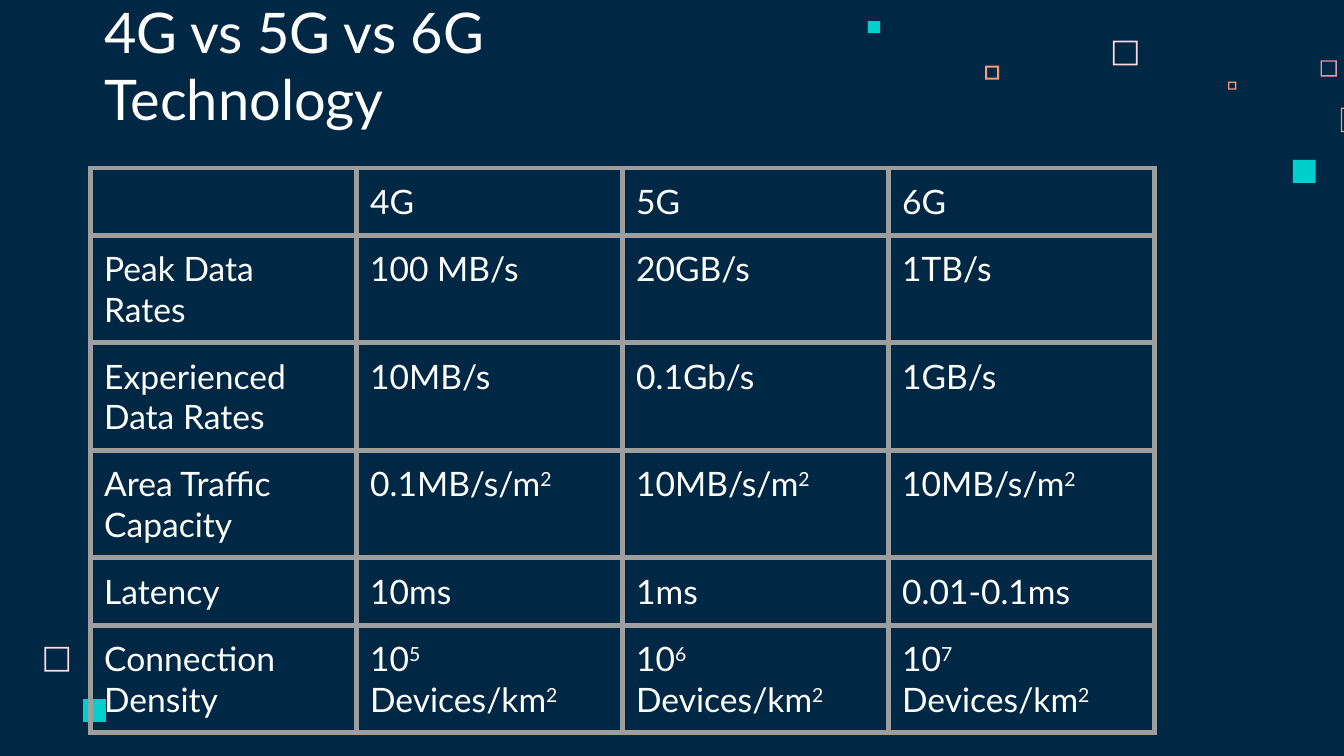
from dataclasses import dataclass
from typing import Any

from lxml import etree
from pptx import Presentation
from pptx import util as u
from pptx.dml.color import RGBColor
from pptx.enum import shapes, text
from pptx.oxml import ns

Pt = u.Pt
FONT = "Lato"
WHITE, NAVY, GREY = "FFFFFF", "002845", "9E9E9E"
PINK, ROSE, CORAL, TEAL = "FFD6E1", "E898AC", "FF9973", "00CFCC"
PAD = 7.2


@dataclass(frozen=True)
class Square:
    left: float
    top: float
    side: float
    tint: str
    rim: float = 0  # zero means solid


SQUARES = [
    Square(596.2, 21.8, 13.2, PINK, 0.9),
    Square(707.4, 32.3, 8.7, ROSE, 0.7),
    Square(658, 43.7, 4.3, CORAL, 0.7),
    Square(718.3, 57.7, 13.1, CORAL, 0.7),
    Square(692.6, 85.7, 12.3, TEAL),
    Square(527.8, 35.2, 7.4, CORAL, 1),
    Square(465, 11.3, 6.5, TEAL),
    Square(23.8, 346.6, 13.2, PINK, 0.9),
    Square(44.5, 374.5, 12.3, TEAL),
]

# Carets enclose superscripts.
ROWS = [
    ["", "4G", "5G", "6G"],
    ["Peak Data Rates", "100 MB/s", "20GB/s", "1TB/s"],
    ["Experienced Data Rates", "10MB/s", "0.1Gb/s", "1GB/s"],
    ["Area Traffic Capacity", "0.1MB/s/m^2^", "10MB/s/m^2^", "10MB/s/m^2^"],
    ["Latency", "10ms", "1ms", "0.01-0.1ms"],
    ["Connection Density"] + [f"10^{n}^ Devices/km^2^" for n in (5, 6, 7)],
]


def paint(fill: Any, tint: str) -> None:
    fill.solid()
    fill.fore_color.rgb = RGBColor.from_string(tint)


def apply(item: Any, form: dict[str, Any]) -> None:
    for key, value in form.items():
        setattr(item, key, value)


def style(font: Any, size: float) -> None:
    apply(font, {"name": FONT, "size": Pt(size)})
    paint(font.fill, WHITE)


def write(para: Any, words: str, size: float) -> None:
    """Add runs, raising the parts held between carets."""
    style(para.font, size)
    for i, part in enumerate(words.split("^")):
        if part:
            run = para.add_run()
            run.text = part
            style(run.font, size)
            if i % 2:
                run._r.get_or_add_rPr().set("baseline", "30000")


def pads() -> dict[str, Any]:
    return {f"margin_{side}": Pt(PAD) for side in ("left", "top", "right", "bottom")}


def draw_square(slide: Any, sq: Square) -> None:
    x, y, end = Pt(sq.left), Pt(sq.top), Pt(sq.side)
    if sq.rim:
        a, b = Pt(sq.rim), Pt(sq.side - sq.rim)
        pen = slide.shapes.build_freeform(x, y)
        pen.add_line_segments([(x, y + end), (x + end, y + end), (x + end, y)])
        pen.move_to(x + b, y + a)
        pen.add_line_segments([(x + b, y + b), (x + a, y + b), (x + a, y + a)])
        shape = pen.convert_to_shape()
    else:
        shape = slide.shapes.add_shape(shapes.MSO_SHAPE.RECTANGLE, x, y, end, end)
    shape.shadow.inherit = False
    paint(shape.fill, sq.tint)
    shape.line.fill.background()


def edge(cell: Any, width: float, tint: str) -> None:
    """Give a cell a line on all four sides."""
    props = cell._tc.get_or_add_tcPr()
    for side in "LRTB":
        line = etree.SubElement(props, ns.qn(f"a:ln{side}"), w=str(Pt(width)))
        fill = etree.SubElement(line, ns.qn("a:solidFill"))
        etree.SubElement(fill, ns.qn("a:srgbClr"), val=tint)


def draw_table(slide: Any) -> None:
    wide, high = 142.5, 30.24
    grid = slide.shapes.add_table(
        len(ROWS), len(ROWS[0]), Pt(48.6), Pt(90),
        Pt(wide * len(ROWS[0])), Pt(high * len(ROWS)),
    ).table
    apply(grid, {"first_row": False, "horz_banding": False})
    for r, row in enumerate(ROWS):
        for c, words in enumerate(row):
            cell = grid.cell(r, c)
            apply(cell, pads())
            edge(cell, 3, GREY)
            cell.fill.background()
            write(cell.text_frame.paragraphs[0], words, 18)


def draw_title(slide: Any) -> None:
    box = slide.shapes.add_textbox(Pt(48.8), Pt(32.4), Pt(372), Pt(45.4))
    apply(box.text_frame, pads() | {
        "word_wrap": True,
        "auto_size": text.MSO_AUTO_SIZE.NONE,
        "vertical_anchor": text.MSO_ANCHOR.BOTTOM,
    })
    write(box.text_frame.paragraphs[0], "4G vs 5G vs 6G Technology", 30)


def main() -> None:
    deck = Presentation()
    apply(deck, {"slide_width": Pt(720), "slide_height": Pt(405)})
    slide = deck.slides.add_slide(deck.slide_layouts[6])
    paint(slide.background.fill, NAVY)
    for sq in SQUARES:
        draw_square(slide, sq)
    draw_table(slide)
    draw_title(slide)
    deck.save("out.pptx")


if __name__ == "__main__":
    main()
